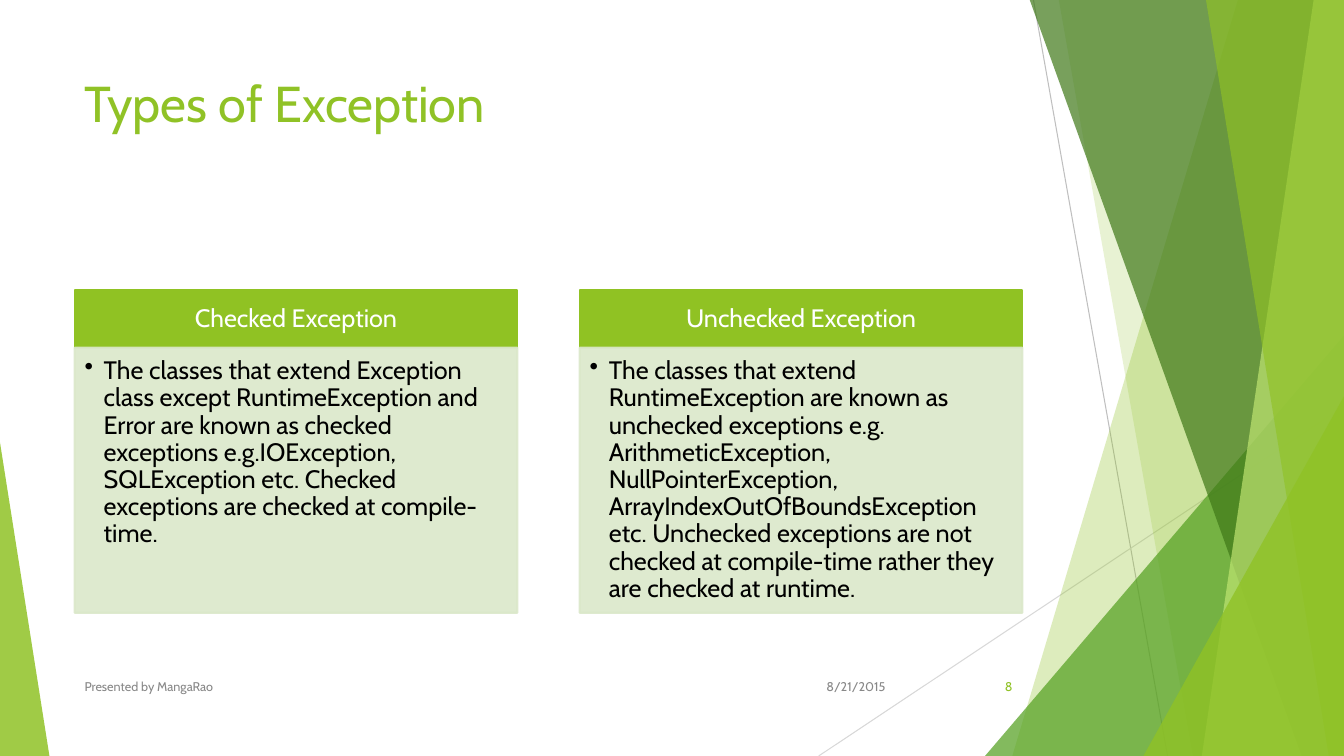
"""Build the "Types of Exception" slide."""
import dataclasses

import lxml.etree
import pptx
import pptx.dml.color
import pptx.enum.shapes
import pptx.enum.text
import pptx.oxml.ns
import pptx.util

Inches = pptx.util.Inches
Align = pptx.enum.text.PP_ALIGN
Anchor = pptx.enum.text.MSO_ANCHOR
Shape = pptx.enum.shapes.MSO_SHAPE
qn = pptx.oxml.ns.qn


@dataclasses.dataclass(frozen=True)
class Theme:
    font: str = "Cabin"
    title_size: int = 36
    card_size: int = 18
    footer_size: int = 9
    lime: str = "90C226"
    header: str = "90C223"
    panel: str = "DBE8CA"
    leaf: str = "54A021"
    forest: str = "3F7818"
    pale: str = "BFE471"
    white: str = "FFFFFF"
    black: str = "000000"
    grey: str = "888888"
    ray: str = "BFBFBF"
    light_ray: str = "D8D8D8"


class SlideBuilder:
    def __init__(self, slide, theme):
        self.shapes = slide.shapes
        self.theme = theme

    def color(self, name):
        return pptx.dml.color.RGBColor.from_string(getattr(self.theme, name))

    def paint(self, shape, fill, opacity=100, outlined=False):
        shape.shadow.inherit = False
        shape.fill.solid()
        shape.fill.fore_color.rgb = self.color(fill)
        if outlined:
            shape.line.color.rgb = self.color(fill)
            shape.line.width = pptx.util.Pt(1.5)
        else:
            shape.line.fill.background()
        if opacity < 100:
            for tint in shape.element.spPr.iter(qn("a:srgbClr")):
                lxml.etree.SubElement(tint, qn("a:alpha"), val=str(opacity * 1000))

    def ray(self, start, end, color):
        ray = self.shapes.add_connector(
            pptx.enum.shapes.MSO_CONNECTOR.STRAIGHT, *map(Inches, start + end))
        ray.line.color.rgb = self.color(color)
        ray.line.width = pptx.util.Pt(0.75)
        lxml.etree.SubElement(ray.element.spPr, qn("a:effectLst"))

    def band(self, corners, fill, opacity):
        points = [tuple(map(Inches, corner)) for corner in corners]
        outline = self.shapes.build_freeform(*points[0], scale=1.0)
        outline.add_line_segments(points[1:], close=True)
        self.paint(outline.convert_to_shape(), fill, opacity)

    def triangle(self, box, apex, fill, opacity):
        wedge = self.shapes.add_shape(Shape.ISOSCELES_TRIANGLE, *map(Inches, box))
        wedge.adjustments[0] = apex
        self.paint(wedge, fill, opacity)

    def set_words(self, shape, words, size, color, insets=(0.1, 0.05, 0.1, 0.05),
                  anchor=Anchor.MIDDLE, align=Align.LEFT, spacing=None, bullet=None):
        left, top, right, bottom = map(Inches, insets)
        frame = shape.text_frame
        paragraph = frame.paragraphs[0]
        run = paragraph.add_run()
        run.text = words
        run.font.color.rgb = self.color(color)
        formats = (
            (frame, {"word_wrap": True, "vertical_anchor": anchor,
                     "margin_left": left, "margin_top": top,
                     "margin_right": right, "margin_bottom": bottom}),
            (paragraph, {"alignment": align, "line_spacing": spacing}),
            (run.font, {"name": self.theme.font, "size": pptx.util.Pt(size)}),
        )
        for target, values in formats:
            for attribute, value in values.items():
                setattr(target, attribute, value)
        if bullet:
            properties = paragraph._p.get_or_add_pPr()
            properties.set("marL", str(Inches(0.19)))
            properties.set("indent", str(Inches(-0.19)))
            lxml.etree.SubElement(properties, qn("a:buChar"), char=bullet)

    def text(self, box, words, size, color, **style):
        label = self.shapes.add_textbox(*map(Inches, box))
        self.set_words(label, words, size, color, **style)

    def block(self, box, words, fill, color, opacity=100, **style):
        block = self.shapes.add_shape(Shape.RECTANGLE, *map(Inches, box))
        self.paint(block, fill, opacity, outlined=True)
        self.set_words(block, words, self.theme.card_size, color, spacing=0.9, **style)

    def card(self, left, heading, explanation):
        self.block((left, 2.88, 4.39, 0.57), heading, "header", "white",
                   insets=(0.14, 0.08, 0.14, 0.08), align=Align.CENTER)
        self.block((left, 3.45, 4.39, 2.63), explanation, "panel", "black", opacity=90,
                   insets=(0.1, 0.1, 0.14, 0.16), anchor=Anchor.TOP, bullet="•")


def main():
    deck = pptx.Presentation()
    deck.slide_width, deck.slide_height = Inches(13.33), Inches(7.5)
    theme = Theme()
    page = SlideBuilder(deck.slides.add_slide(deck.slide_layouts[6]), theme)

    page.ray((10.25, 0), (11.58, 7.5), "ray")
    page.ray((13.33, 4.03), (8.12, 7.5), "light_ray")

    def edge_band(top_left, bottom_left, fill, opacity):
        page.band([(top_left, -0.01), (13.33, -0.01), (13.33, 7.5), (bottom_left, 7.5)],
                  fill, opacity)

    edge_band(12.28, 10.04, "lime", 30)
    edge_band(10.5, 11.83, "lime", 20)
    page.triangle((9.77, 3.33, 3.56, 4.17), 1, "leaf", 72)
    edge_band(10.21, 12.91, "forest", 70)
    edge_band(13.03, 11.92, "pale", 70)
    edge_band(11.96, 13.18, "lime", 65)
    page.triangle((11.34, 3.93, 1.99, 3.57), 1, "lime", 80)
    page.triangle((0, 4.39, 0.49, 3.11), 0, "lime", 85)

    page.text((0.74, 0.67, 9.4, 1.44), "Types of Exception", theme.title_size, "lime",
              anchor=Anchor.TOP)

    page.card(0.74, "Checked Exception",
              "The classes that extend Exception class except RuntimeException and Error "
              "are known as checked exceptions e.g.IOException, SQLException etc. "
              "Checked exceptions are checked at compile-time.")
    page.card(5.75, "Unchecked Exception",
              "The classes that extend RuntimeException are known as unchecked exceptions "
              "e.g. ArithmeticException, NullPointerException, "
              "ArrayIndexOutOfBoundsException etc. Unchecked exceptions are not checked "
              "at compile-time rather they are checked at runtime.")

    for left, width, words, color, align in (
            (7.88, 1, "8/21/2015", "grey", Align.RIGHT),
            (0.74, 6.89, "Presented by MangaRao", "grey", Align.LEFT),
            (9.39, 0.75, "8", "lime", Align.RIGHT)):
        page.text((left, 6.61, width, 0.4), words, theme.footer_size, color, align=align)

    deck.save("out.pptx")


if __name__ == "__main__":
    main()
